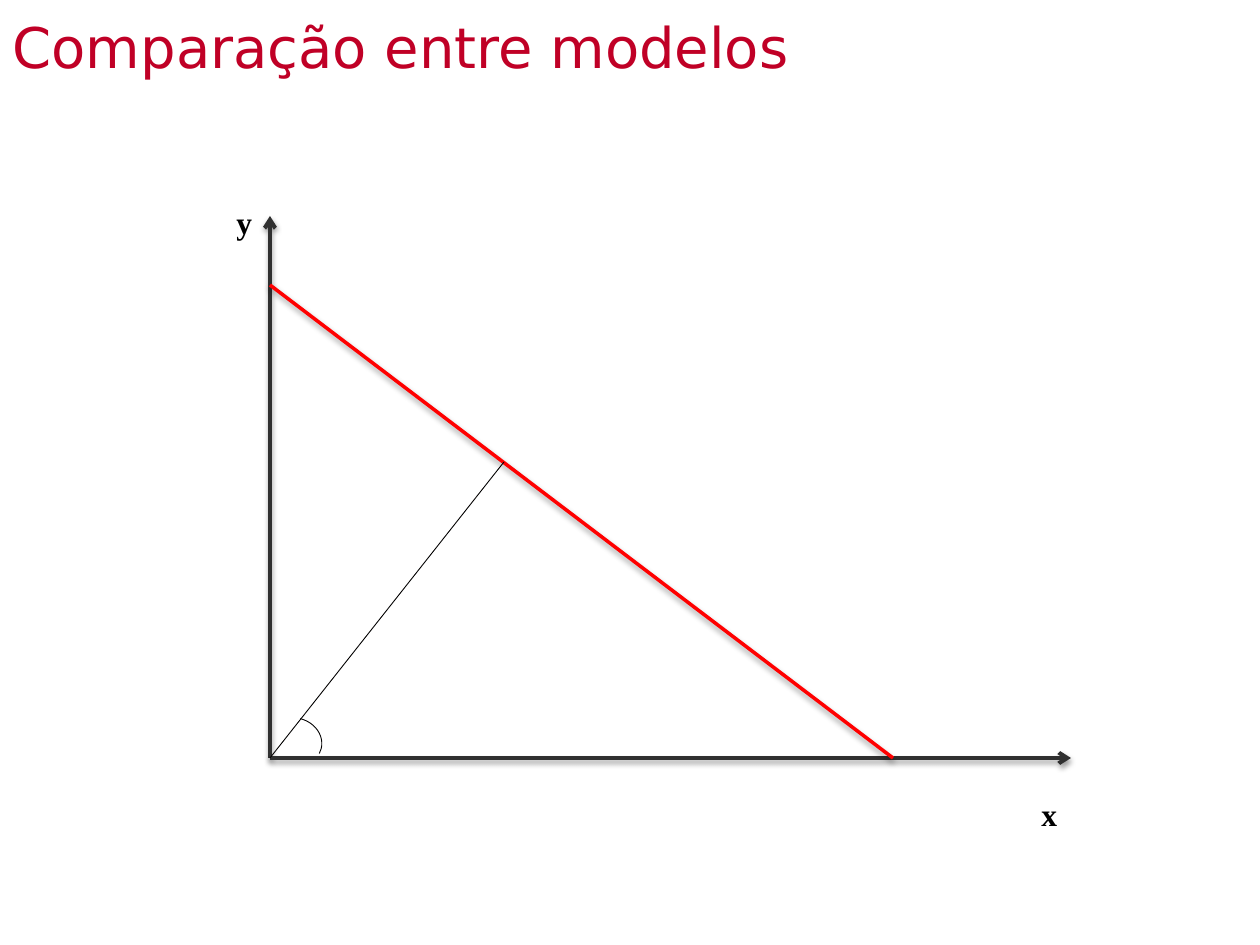
"""Builds a slide with a line, its normal and the angle of that normal."""
import pptx
import pptx.util
import pptx.dml.color
import pptx.enum.shapes
import pptx.enum.text
import pptx.oxml
import pptx.oxml.ns

PX = 914400 // 126
TITLE = "Comparação entre modelos"
LEFT, BASE = 270, 758
ORIGIN = (LEFT, BASE)
LINES = [
    (ORIGIN, (LEFT, 216), "303030", 2.25, True, True),
    (ORIGIN, (1071, BASE), "303030", 2.25, True, True),
    ((LEFT, 285), (893, BASE), "FF0000", 2, False, True),
    (ORIGIN, (504, 462), "020000", 0.5, False, False),
]
ARC = (267, 718, 55, 48)
LABELS = [("y", 224, 197), ("x", 1029, 789)]
SHADOW = (
    '<a:outerShdw blurRad="40000" dist="20000" dir="5400000" rotWithShape="0">'
    '<a:srgbClr val="000000"><a:alpha val="38000"/></a:srgbClr></a:outerShdw>'
)


def px(*sizes):
    return [size * PX for size in sizes]


def tint(code):
    return pptx.dml.color.RGBColor.from_string(code)


def node(tag, inner="", attrs=""):
    space = pptx.oxml.ns.nsdecls("a")
    return pptx.oxml.parse_xml(f"<a:{tag} {space} {attrs}>{inner}</a:{tag}>")


def stroke(line, color, width):
    line.color.rgb = tint(color)
    line.width = pptx.util.Pt(width)


def write(frame, text, font, size, color, bold=False):
    frame.text = text
    face = frame.paragraphs[0].runs[0].font
    face.name, face.size, face.bold = font, pptx.util.Pt(size), bold
    face.color.rgb = tint(color)


def draw_line(shapes, start, end, color, width, arrow, shade):
    kind = pptx.enum.shapes.MSO_CONNECTOR.STRAIGHT
    line = shapes.add_connector(kind, *px(*start, *end))
    stroke(line.line, color, width)
    if arrow:
        line.line._get_or_add_ln().append(node("tailEnd", attrs='type="arrow"'))
    line._element.spPr.append(node("effectLst", SHADOW if shade else ""))


def draw_title(title):
    title.left, title.top, title.width, title.height = px(0, 0, 1580, 197)
    frame = title.text_frame
    write(frame, TITLE, "DejaVu Sans", 32, "C00026")
    frame.vertical_anchor = pptx.enum.text.MSO_ANCHOR.TOP
    frame.margin_top = 12 * PX
    frame.paragraphs[0].alignment = pptx.enum.text.PP_ALIGN.LEFT


def draw_arc(shapes):
    arc = shapes.add_shape(pptx.enum.shapes.MSO_SHAPE.ARC, *px(*ARC))
    arc.adjustments[0], arc.adjustments[1] = 162, 6.57
    arc.rotation = 13.9
    arc.fill.background()
    stroke(arc.line, "020000", 0.5)
    arc.shadow.inherit = False


def draw_label(shapes, text, left, top):
    frame = shapes.add_textbox(*px(left, top, 42, 50)).text_frame
    frame.word_wrap = False
    frame.auto_size = pptx.enum.text.MSO_AUTO_SIZE.SHAPE_TO_FIT_TEXT
    write(frame, text, "Times New Roman", 18, "000000", True)


def main():
    deck = pptx.Presentation()
    deck.slide_width, deck.slide_height = px(1260, 945)
    shapes = deck.slides.add_slide(deck.slide_layouts[5]).shapes
    draw_title(shapes.title)
    for line in LINES:
        draw_line(shapes, *line)
    draw_arc(shapes)
    for label in LABELS:
        draw_label(shapes, *label)
    deck.save("out.pptx")


if __name__ == "__main__":
    main()
